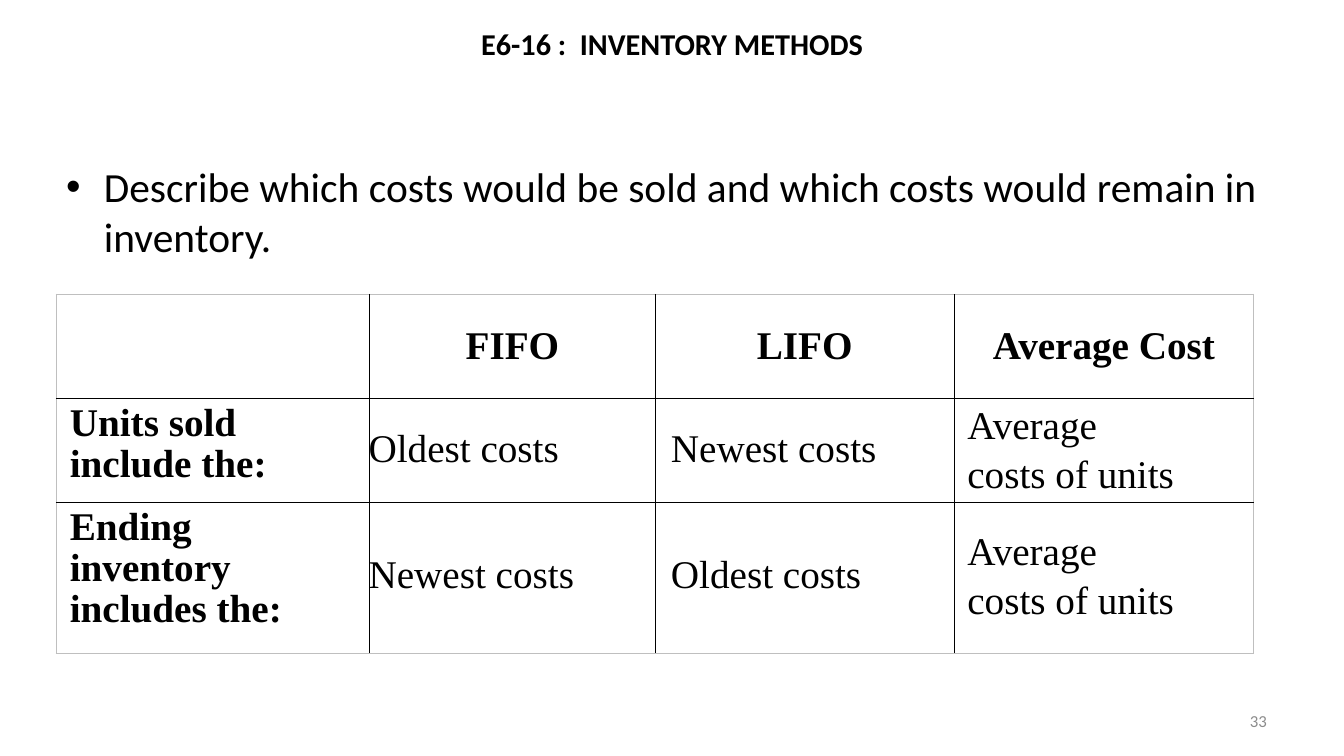
import pptx
import pptx.util
import pptx.dml.color
import pptx.enum.text
import pptx.oxml
import pptx.oxml.ns
from lxml import etree

Cm = pptx.util.Cm
Pt = pptx.util.Pt
ALIGN = pptx.enum.text.PP_ALIGN
ANCHOR = pptx.enum.text.MSO_ANCHOR
SERIF = "Times New Roman"


def tint(code):
    return pptx.dml.color.RGBColor.from_string(code)


def write(frame, text, size=28, font=SERIF, color="000000", bold=False,
          align=ALIGN.LEFT, anchor=ANCHOR.TOP, space=None, bullet=False):
    frame.word_wrap = True
    frame.vertical_anchor = anchor
    for i, line in enumerate(text.split("\n")):
        para = frame.add_paragraph() if i else frame.paragraphs[0]
        para.alignment = align
        para.space_before = Pt(1.5 if i else 0)
        if space:
            para.line_spacing = space
        if bullet:
            props = para._p.get_or_add_pPr()
            props.set("marL", str(Cm(0.95)))
            props.set("indent", str(-Cm(0.95)))
            face = etree.SubElement(props, pptx.oxml.ns.qn("a:buFont"))
            face.set("typeface", "Arial")
            mark = etree.SubElement(props, pptx.oxml.ns.qn("a:buChar"))
            mark.set("char", "•")
        run = para.add_run()
        run.text = line
        run.font.size = Pt(size)
        run.font.name = font
        run.font.bold = bold
        run.font.color.rgb = tint(color)


deck = pptx.Presentation()
deck.slide_width = Cm(33.87)
deck.slide_height = Cm(19.05)
slide = deck.slides.add_slide(deck.slide_layouts[5])

# Title
title = slide.shapes.title
title.left, title.top = Cm(1.42), Cm(0.64)
title.width, title.height = Cm(31.04), Cm(0.91)
title.text_frame.auto_size = pptx.enum.text.MSO_AUTO_SIZE.NONE
write(title.text_frame, "E6-16 :  INVENTORY METHODS", size=21.6,
      font="Calibri", bold=True, align=ALIGN.CENTER, anchor=ANCHOR.MIDDLE)

# Task
task = slide.shapes.add_textbox(Cm(1.42), Cm(3.94), Cm(31.04), Cm(2.46))
write(task.text_frame, "Describe which costs would be sold and which costs "
      "would remain in inventory.", size=29.6, font="Calibri", bullet=True)

# Page number
page = slide.shapes.add_textbox(Cm(24.28), Cm(17.65), Cm(7.9), Cm(1.02))
write(page.text_frame, "33", size=12, font="Calibri", color="8C8C8C",
      align=ALIGN.RIGHT, anchor=ANCHOR.MIDDLE)

# Table with heads and row labels
heads = ["", "FIFO", "LIFO", "Average Cost"]
labels = ["", "Units sold include the:", "Ending inventory includes the:"]
widths = [7.9, 7.19, 7.54, 7.54]
heights = [2.62, 2.62, 3.81]
table = slide.shapes.add_table(3, 4, Cm(1.42), Cm(7.42), Cm(sum(widths)),
                               Cm(sum(heights))).table
for col, width in zip(table.columns, widths):
    col.width = Cm(width)
for row, height in zip(table.rows, heights):
    row.height = Cm(height)

for r in range(3):
    for c in range(4):
        cell = table.cell(r, c)
        cell.margin_left = cell.margin_right = Cm(0.34)
        cell.margin_top = cell.margin_bottom = Cm(0.13)
        # Grey outer edge, black inner lines
        outer = {"L": c == 0, "R": c == 3, "T": r == 0, "B": r == 2}
        for side, edge in outer.items():
            line = etree.SubElement(cell._tc.get_or_add_tcPr(),
                                    pptx.oxml.ns.qn("a:ln" + side))
            line.set("w", str(Pt(1)))
            paint = etree.SubElement(line, pptx.oxml.ns.qn("a:solidFill"))
            color = etree.SubElement(paint, pptx.oxml.ns.qn("a:srgbClr"))
            color.set("val", "BFBFBF" if edge else "000000")
        cell.fill.solid()
        cell.fill.fore_color.rgb = tint("FFFFFF")
        if r == 0 and c:
            write(cell.text_frame, heads[c], bold=True, align=ALIGN.CENTER)
            cell.vertical_anchor = ANCHOR.MIDDLE
        elif c == 0 and r:
            write(cell.text_frame, labels[r], bold=True, space=0.95)

# Answers laid over the table
average = "Average\ncosts of units"
answers = [["Oldest costs", "Newest costs", average],
           ["Newest costs", "Oldest costs", average]]
lefts = [9.04, 16.66, 24.13]
for r, texts in enumerate(answers):
    for left, text in zip(lefts, texts):
        tall = text == average
        top = (9.96 if tall else 10.54) + 3.18 * r
        box = slide.shapes.add_textbox(Cm(left), Cm(top),
                                       Cm(8.46 if tall else 7.62),
                                       Cm(2.64 if tall else 1.45))
        write(box.text_frame, text)

deck.save("out.pptx")
